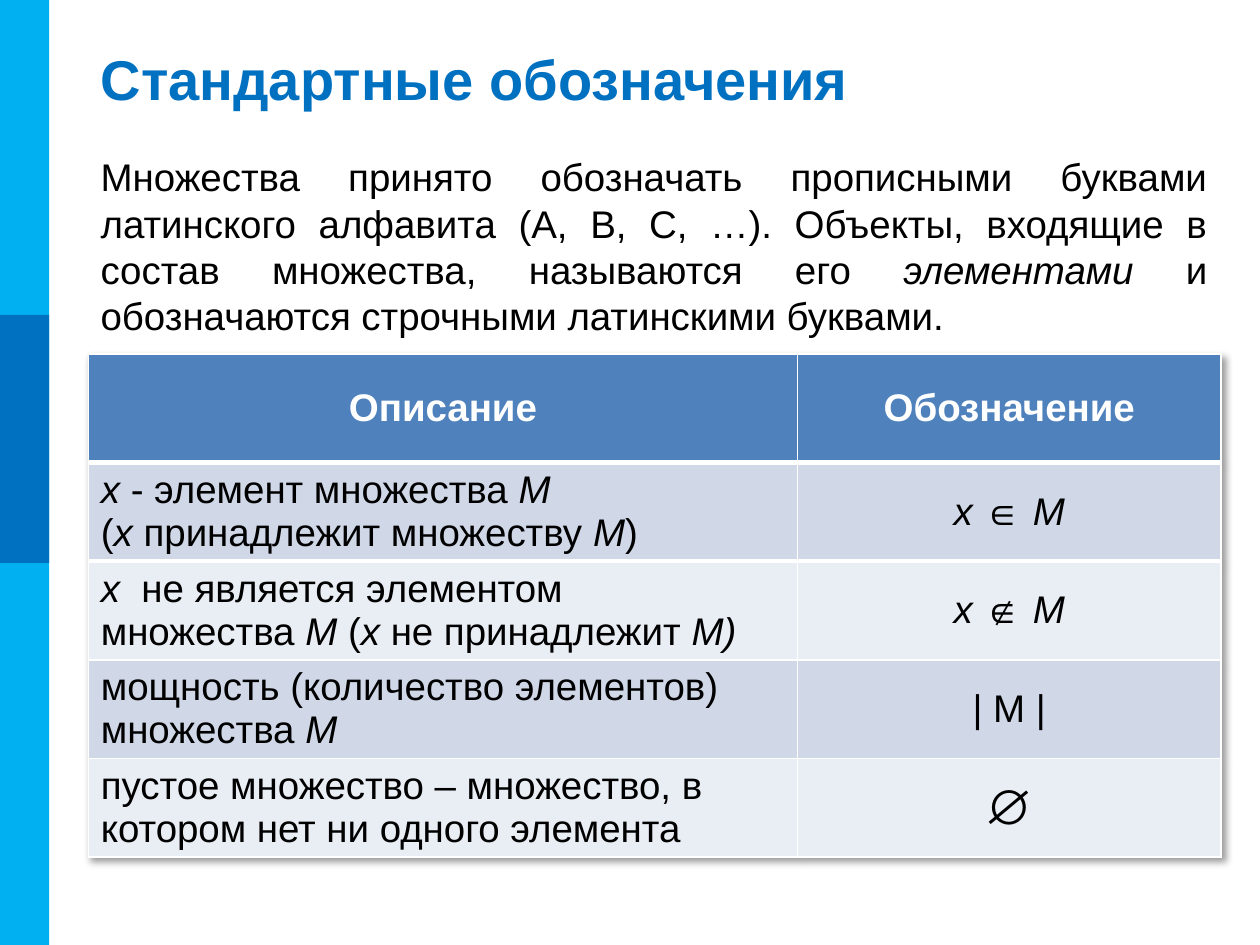
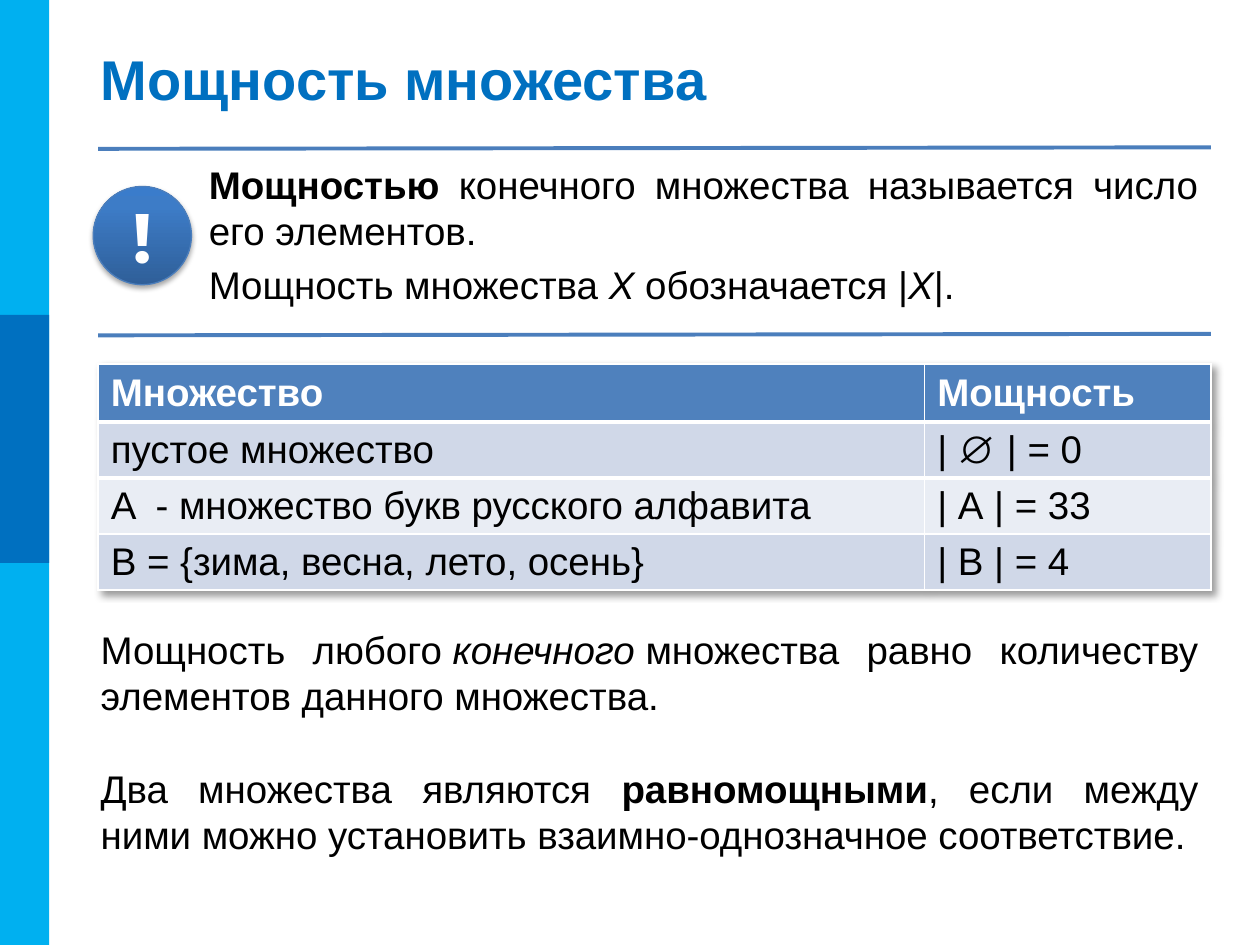
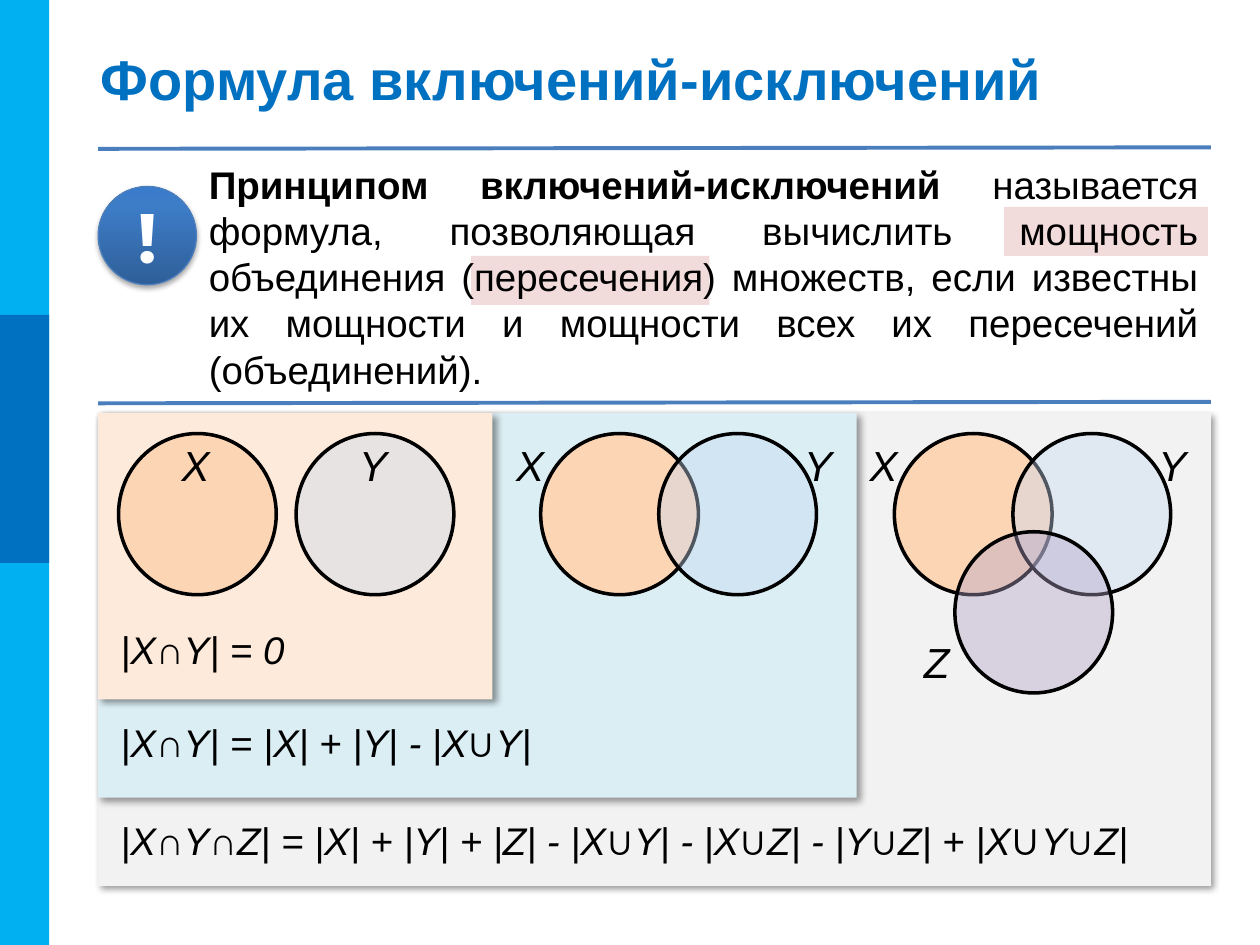
"""Builds three slides on sets, their cardinality and inclusion-exclusion."""
from lxml.etree import SubElement
from pptx import Presentation
from pptx.dml.color import RGBColor
from pptx.enum.shapes import MSO_CONNECTOR, MSO_SHAPE
from pptx.enum.text import MSO_ANCHOR, PP_ALIGN
from pptx.oxml import parse_xml
from pptx.oxml.ns import nsdecls, qn
from pptx.util import Cm, Pt

RECT, OVAL, CHORD = MSO_SHAPE.RECTANGLE, MSO_SHAPE.OVAL, MSO_SHAPE.CHORD
LINE = MSO_CONNECTOR.STRAIGHT
TOP, MID = MSO_ANCHOR.TOP, MSO_ANCHOR.MIDDLE
LEFT, MIDDLE, FULL = PP_ALIGN.LEFT, PP_ALIGN.CENTER, PP_ALIGN.JUSTIFY
HARD = chr(160)

HUES = {
    "white": "FFFFFF", "black": "000000", "sky": "00B0F0", "blue": "0070C0",
    "head": "4F81BD", "odd": "D0D8E8", "even": "E9EDF4", "rule": "4B7EBC",
    "mark": "F2DCDB", "grey": "F2F2F2", "aqua": "DBEEF4", "peach": "FDEADA",
    "orange": "FCD5B5", "pale": "C6D9F1", "plum": "B3A2C7",
    "deep": "2F5F99", "mid": "3D7CC7", "glow": "3A7CCB",
}
SHEEN = [(0, "deep"), (80, "mid"), (100, "glow")]
SOFT = {"alpha": 35, "blur": 3.1, "dist": 1.8, "angle": 90}
CAST = {"alpha": 40, "blur": 4, "dist": 3, "angle": 45}

BODY = {"name": "Arial", "size": Pt(22)}
HEAD = {"name": "Arial", "size": Pt(32), "bold": True}
LABEL = {"name": "Arial", "size": Pt(24)}
BANG = {"name": "Montserrat", "size": Pt(40), "bold": True}
THEAD = BODY | {"bold": True}
BIG = {"∅": BODY | {"size": Pt(28)}}
CELL = {"vertical_anchor": MID, "margin_top": Cm(0.06), "margin_bottom": Cm(0.06)}

# Marks in the texts: ~ switches italic, ^ switches bold, # switches label size.
INTRO = ("Множества принято обозначать прописными буквами латинского алфавита "
         "(A, B, C, …). Объекты, входящие в состав множества, называются его "
         "~элементами~ и обозначаются строчными латинскими буквами.")
SIGNS = [
    ("Описание", "Обозначение"),
    ("~x~ - элемент множества ~M~\n(~x ~принадлежит множеству ~M~)", "~x ~∈ ~M~"),
    ("~x~  не является элементом \nмножества ~М~ (~x ~не принадлежит ~M)~",
     "~x ~∉ ~M~"),
    ("мощность (количество элементов) \nмножества ~М~", "| M |"),
    ("пустое множество – множество, в котором нет ни одного элемента", "∅"),
]
POWER = ["^Мощностью ^конечного множества называется число его элементов. ",
         "Мощность множества ~X~ обозначается |~X~|."]
SIZES = [
    ("Множество", "Мощность"),
    ("пустое множество", "| ∅ | = 0"),
    ("A  - множество букв русского алфавита", "| А | = 33"),
    ("В = {зима, весна, лето, осень}", "| В | = 4"),
]
NOTES = [
    (12.5, f"Мощность любого{HARD}~конечного~{HARD}множества равно количеству "
           "элементов данного множества."),
    (15.29, "Два множества являются ^равномощными^, если между ними можно "
            "установить взаимно-однозначное соответствие."),
]
RULE = ("^Принципом включений-исключений ^называется формула, позволяющая "
        "вычислить мощность объединения (пересечения) множеств, если известны "
        "их мощности и мощности всех их пересечений (объединений).")
MARKS = [(9.5, 5.16, 4.8, 0.99), (20.24, 4.17, 4.11, 0.99)]

ROW = 8.74
PANELS = [
    {"size": (22.43, 9.53), "hue": "grey", "sum": (16.28, 21.44,
     "~|X~∩~Y~∩~Z| = |X| + |Y| + |Z| - |X~∪~Y| - |X~∪~Z| - |Y~∪~Z| + |X~#∪#~Y~∪~Z|~"),
     "sets": [("X", 18.03, ROW, -1.37, 0, "orange", 100),
              ("Y", 20.42, ROW, 2.06, 0, "pale", 40),
              ("Z", 19.25, 10.72, -1.52, 1.98, "plum", 40)]},
    {"size": (15.29, 7.75), "hue": "aqua",
     "sum": (14.38, 8.86, "~|X~∩~Y| = |X| + |Y| - |X~∪~Y|~"),
     "sets": [("X", 10.9, ROW, -1.37, 0, "orange", 100),
              ("Y", 13.28, ROW, 2.06, 0, "pale", 40)]},
    {"size": (7.95, 5.77), "hue": "peach",
     "sum": (12.5, 6.15, "~|X~∩~Y| = 0~"),
     "sets": [("X", 2.39, ROW, 0.4, 0, "orange", 100),
              ("Y", 5.97, ROW, 0.4, 0, "pale", 40)]},
]


def rgb(hue):
    return RGBColor.from_string(HUES[hue])


def style(item, form):
    for key, val in form.items():
        setattr(item, key, val)


def write(para, text, form, hue="black"):
    flags = {"~": False, "^": False, "#": False}
    part = ""
    for sign in text + "\0":
        if sign not in "~^#\n\0":
            part += sign
            continue
        if part:
            run = para.add_run()
            run.text = part
            look = LABEL if flags["#"] else form
            style(run.font, {"bold": flags["^"], "italic": flags["~"]} | look)
            run.font.color.rgb = rgb(hue)
            part = ""
        if sign == "\n":
            para.add_line_break()
        elif sign in flags:
            flags[sign] = not flags[sign]


def add_text(slide, spot, lines, form=BODY, hue="black", align=FULL, anchor=TOP):
    frame = slide.shapes.add_textbox(*map(Cm, spot)).text_frame
    style(frame, {"word_wrap": True, "vertical_anchor": anchor})
    for num, text in enumerate(lines):
        para = frame.add_paragraph() if num else frame.paragraphs[0]
        style(para, {"alignment": align, "space_before": Pt(4.4 if num else 0)})
        write(para, text, form, hue)


def add_shade(node, alpha, blur, dist, angle):
    node.append(parse_xml(
        f'<a:outerShdw {nsdecls("a")} blurRad="{Pt(blur)}" dist="{Pt(dist)}" '
        f'dir="{angle * 60000}" rotWithShape="0"><a:srgbClr val="{HUES["black"]}">'
        f'<a:alpha val="{alpha * 1000}"/></a:srgbClr></a:outerShdw>'))


def add_form(slide, kind, spot, hue, edge=None, width=0, shade=None, alpha=100):
    form = slide.shapes.add_shape(kind, *map(Cm, spot))
    form.shadow.inherit = False
    form.fill.solid()
    form.fill.fore_color.rgb = rgb(hue)
    props = form._element.spPr
    if alpha < 100:
        SubElement(props.find(qn("a:solidFill"))[0], qn("a:alpha"),
                   val=str(alpha * 1000))
    if edge:
        form.line.color.rgb = rgb(edge)
        form.line.width = Pt(width)
    else:
        form.line.fill.background()
    if shade:
        add_shade(props.find(qn("a:effectLst")), **shade)
    return form


def add_badge(slide, left):
    badge = add_form(slide, OVAL, (left, 3.76, 1.98, 1.98), "mid", "rule", 0.75, SOFT)
    stops = "".join(f'<a:gs pos="{pos * 1000}"><a:srgbClr val="{HUES[hue]}"/></a:gs>'
                    for pos, hue in SHEEN)
    props = badge._element.spPr
    props.replace(props.find(qn("a:solidFill")), parse_xml(
        f'<a:gradFill {nsdecls("a")} rotWithShape="1"><a:gsLst>{stops}</a:gsLst>'
        f'<a:lin ang="{270 * 60000}" scaled="0"/></a:gradFill>'))
    badge.text_frame.vertical_anchor = MID
    para = badge.text_frame.paragraphs[0]
    para.alignment = MIDDLE
    write(para, "!", BANG, "white")


def add_quote(slide, lines, height, left, foot):
    add_text(slide, (3.96, 3.12, 20.45, height), lines)
    add_badge(slide, left)
    for top in (3, foot):
        line = slide.shapes.add_connector(LINE, Cm(1.98), Cm(top),
                                          Cm(24.41), Cm(top - 0.03))
        line.line.color.rgb = rgb("rule")
        line.line.width = Pt(2.25)
        SubElement(line._element.spPr, qn("a:effectLst"))


def add_edge(cell, side):
    cell._tc.get_or_add_tcPr().insert(0, parse_xml(
        f'<a:{side} {nsdecls("a")} w="{Pt(3)}"><a:solidFill>'
        f'<a:srgbClr val="{HUES["white"]}"/></a:solidFill></a:{side}>'))


def add_grid(slide, left, top, data, cols, first, rest, aligns):
    high = [first] + [rest] * (len(data) - 1)
    frame = slide.shapes.add_table(len(data), len(cols), Cm(left), Cm(top),
                                   Cm(sum(cols)), Cm(sum(high)))
    grid = frame.table
    for col, width in zip(grid.columns, cols):
        col.width = Cm(width)
    for num, (row, tall) in enumerate(zip(data, high)):
        grid.rows[num].height = Cm(tall)
        tone = ("odd" if num % 2 else "even") if num else "head"
        for pos, text in enumerate(row):
            cell = grid.cell(num, pos)
            style(cell, CELL)
            cell.fill.solid()
            cell.fill.fore_color.rgb = rgb(tone)
            if num < 2:
                add_edge(cell, ("lnB", "lnT")[num])
            para = cell.text_frame.paragraphs[0]
            para.alignment = aligns[pos] if num else aligns[-1]
            if num:
                write(para, text, BIG.get(text, BODY))
            else:
                write(para, text, THEAD, "white")
    glow = parse_xml(f'<a:effectLst {nsdecls("a")}/>')
    add_shade(glow, **CAST)
    grid._tbl.tblPr.insert(0, glow)


def add_panel(slide, panel):
    add_form(slide, RECT, (1.98, 8.33, *panel["size"]), panel["hue"], shade=CAST)
    for name, left, top, right, down, hue, alpha in panel["sets"]:
        ring = add_form(slide, CHORD, (left, top, 3.18, 3.25), hue, "black", 2,
                        alpha=alpha)
        ring.adjustments[0], ring.adjustments[1] = 27, 26.08
        add_text(slide, (left + right, top + down, 2.31, 1.12),
                 [f"~{name}~"], LABEL, align=MIDDLE)
    top, width, text = panel["sum"]
    add_text(slide, (2.18, top, width, 1.2), [text], align=LEFT)


def add_page(deck, title):
    slide = deck.slides.add_slide(deck.slide_layouts[6])
    add_form(slide, RECT, (0, 0, 0.99, 19.05), "sky")
    add_form(slide, RECT, (0, 6.35, 0.99, 5), "blue")
    add_text(slide, (1.78, 0.76, 22.91, 1.63), [title], HEAD, "blue", LEFT, MID)
    return slide


def main():
    deck = Presentation()
    deck.slide_width, deck.slide_height = Cm(25.4), Cm(19.05)

    page = add_page(deck, "Стандартные обозначения")
    add_grid(page, 1.78, 7.14, SIGNS, (14.3, 8.53), 2.18, 1.99,
             (LEFT, MIDDLE))
    add_text(page, (1.78, 2.97, 22.81, 4.17), [INTRO])

    page = add_page(deck, "Мощность множества")
    add_quote(page, POWER, 3.63, 1.88, 6.76)
    add_grid(page, 1.98, 7.34, SIZES, (16.66, 5.77), 1.17, 1.13, (LEFT, LEFT))
    for top, text in NOTES:
        add_text(page, (1.78, top, 22.63, 2.13), [text])

    page = add_page(deck, "Формула включений-исключений")
    for spot in MARKS:
        add_form(page, RECT, spot, "mark")
    add_quote(page, [RULE], 5.03, 1.98, 8.13)
    for panel in PANELS:
        add_panel(page, panel)

    deck.save("out.pptx")


if __name__ == "__main__":
    main()
